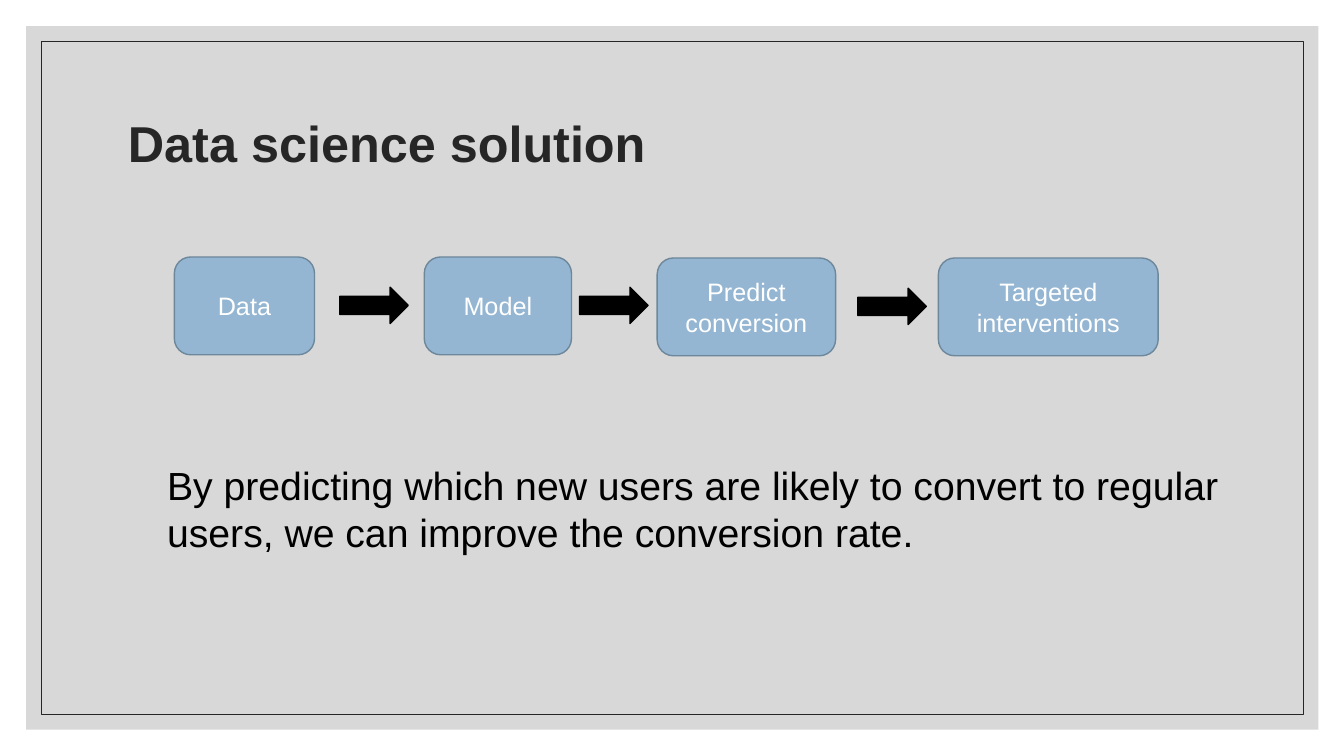
from pptx import Presentation
from pptx.dml.color import RGBColor
from pptx.enum.shapes import MSO_SHAPE
from pptx.enum.text import MSO_ANCHOR, PP_ALIGN
from pptx.oxml.ns import qn
from pptx.util import Pt
from lxml.etree import SubElement

STEPS = [  # label, left, width, top
    ("Data", 124.56, 100.08, 183.6),
    ("Model", 303.12, 105.12, 183.6),
    ("Predict conversion", 469.44, 127.44, 184.32),
    ("Targeted interventions", 670.32, 156.96, 184.32),
]
STEP_HEIGHT = 69.84
ARROWS = [(242.64, 205.2), (414, 205.2), (612.72, 205.92)]  # left, top


def color(hex_value):
    return RGBColor.from_string(hex_value)


def write(frame, text, size=18, ink="000000", bold=False, align=PP_ALIGN.LEFT,
          anchor=MSO_ANCHOR.TOP, spacing=1.0, font="Arial"):
    frame.word_wrap = True
    frame.vertical_anchor = anchor
    paragraph = frame.paragraphs[0]
    paragraph.alignment = align
    paragraph.line_spacing = spacing
    run = paragraph.add_run()
    run.text = text
    run.font.name = font
    run.font.size = Pt(size)
    run.font.bold = bold
    run.font.color.rgb = color(ink)


class SlideBuilder:
    """Holds the palette and the slide being filled."""
    dark = "262626"
    panel_fill = "BFBFBF"
    step_fill = "94B6D2"
    step_line = "6D879B"
    arrow_ink = "000000"
    step_ink = "FFFFFF"

    def __init__(self, slide):
        self.slide = slide

    def shape(self, kind, left, top, width, height, fill=None, line=None,
              weight=1, opacity=100):
        shape = self.slide.shapes.add_shape(
            kind, Pt(left), Pt(top), Pt(width), Pt(height))
        shape.shadow.inherit = False
        if fill:
            shape.fill.solid()
            shape.fill.fore_color.rgb = color(fill)
            if opacity < 100:
                tint = shape.fill._xPr.find(f".//{qn('a:srgbClr')}")
                SubElement(tint, qn("a:alpha"), val=str(opacity * 1000))
        else:
            shape.fill.background()
        if line:
            shape.line.color.rgb = color(line)
            shape.line.width = Pt(weight)
        else:
            shape.line.fill.background()
        return shape

    def text(self, text, left, top, width, height, **style):
        box = self.slide.shapes.add_textbox(
            Pt(left), Pt(top), Pt(width), Pt(height))
        write(box.text_frame, text, **style)

    def step(self, label, left, width, top):
        box = self.shape(MSO_SHAPE.ROUNDED_RECTANGLE, left, top, width,
                         STEP_HEIGHT, self.step_fill, self.step_line)
        write(box.text_frame, label, ink=self.step_ink,
              align=PP_ALIGN.CENTER, anchor=MSO_ANCHOR.MIDDLE)

    def arrow(self, left, top):
        self.shape(MSO_SHAPE.RIGHT_ARROW, left, top, 48.96, 25.92,
                   self.arrow_ink, self.arrow_ink)


def main():
    deck = Presentation()
    deck.slide_width, deck.slide_height = Pt(960), Pt(540)
    page = SlideBuilder(deck.slides.add_slide(deck.slide_layouts[6]))

    page.shape(MSO_SHAPE.RECTANGLE, 18.72, 18.72, 923.04, 502.56,
               fill=page.panel_fill, opacity=60)
    page.shape(MSO_SHAPE.RECTANGLE, 29.52, 29.52, 901.44, 480.96,
               line=page.dark, weight=0.5)
    page.text("Data science solution", 84.24, 50.4, 792, 108, size=36,
              ink=page.dark, bold=True, anchor=MSO_ANCHOR.MIDDLE, spacing=0.9)
    for step in STEPS:
        page.step(*step)
    for arrow in ARROWS:
        page.arrow(*arrow)
    page.text("By predicting which new users are likely to convert to regular "
              "users, we can improve the conversion rate.",
              112.32, 326.16, 799.2, 74.88, size=28)

    deck.save("out.pptx")


if __name__ == "__main__":
    main()
